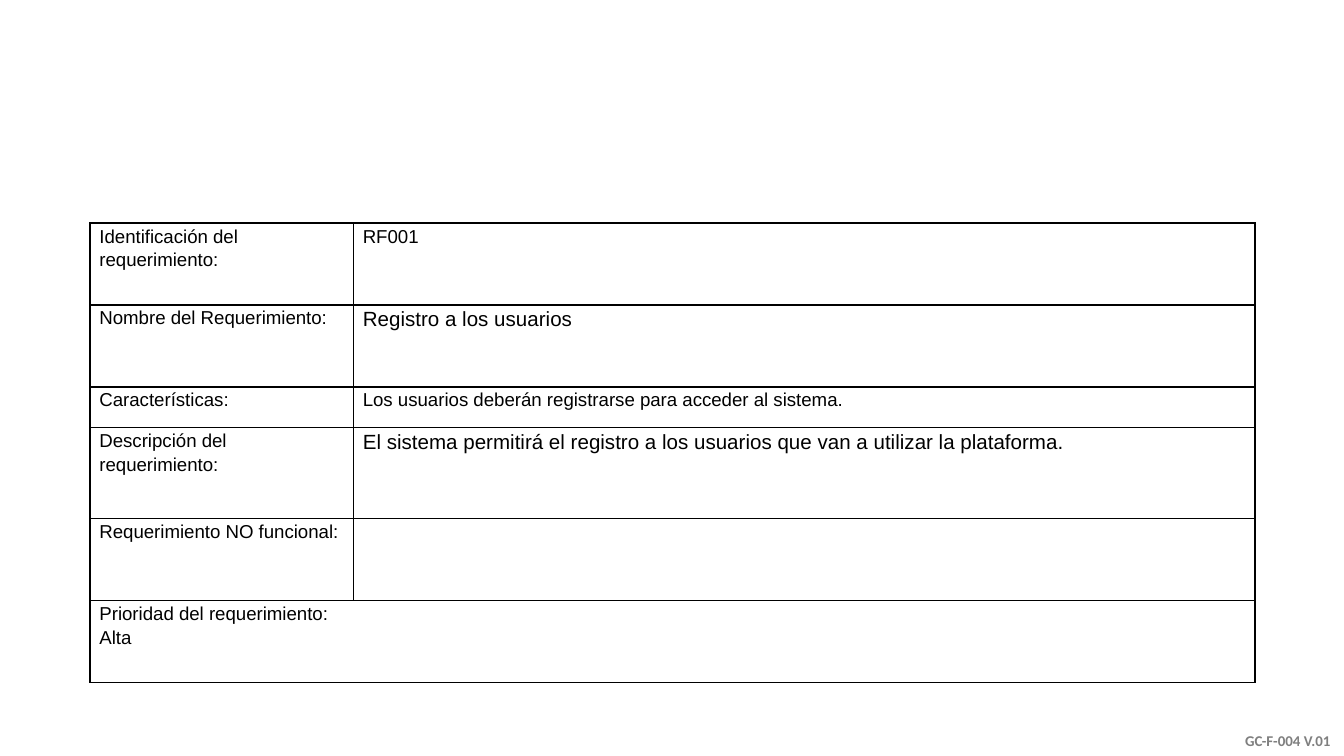
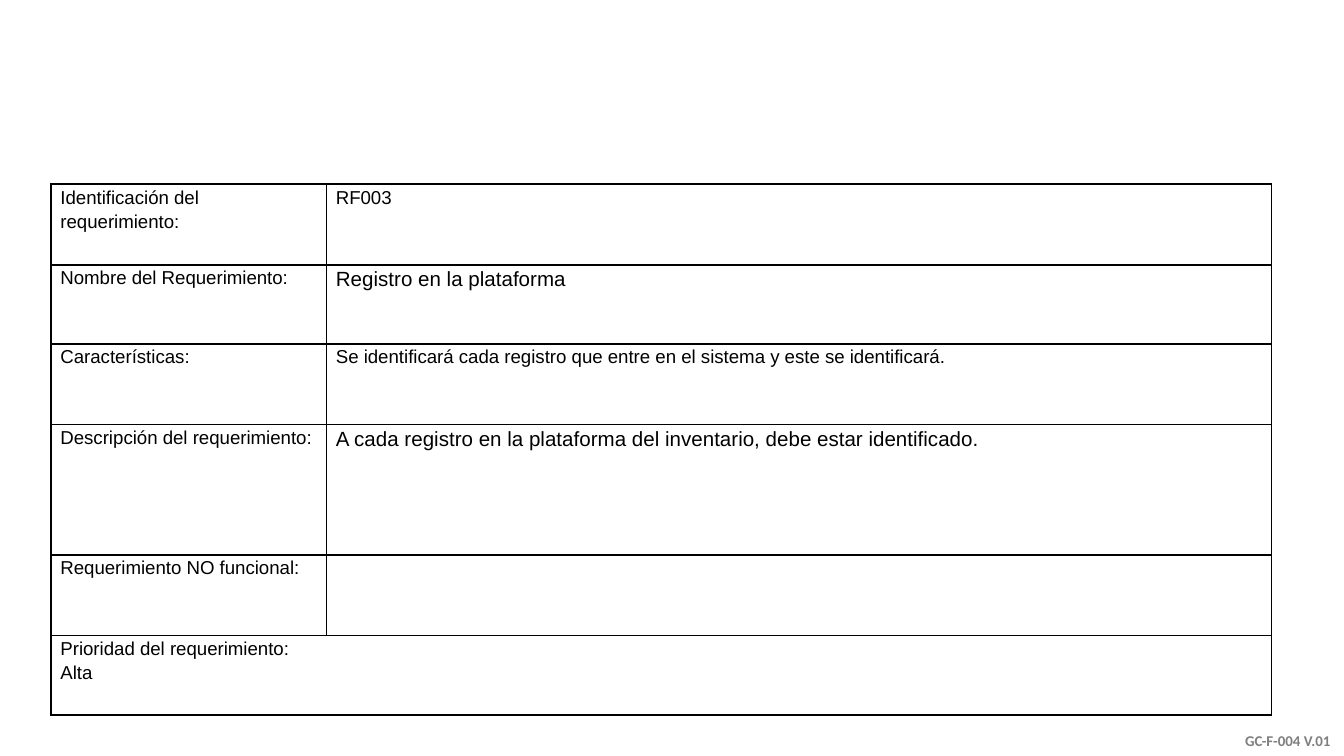
from lxml import etree
from pptx import Presentation
from pptx import util as u
from pptx.dml.color import RGBColor
from pptx.enum import text
from pptx.oxml import ns

BLACK, GRAY = "000000", "7F7F7F"
WIDTH = 10
HEIGHT = WIDTH * 9 / 16
FOOTER_WIDTH, FOOTER_HEIGHT = 1.63, 0.43
LABELS = [
    "Identificación del requerimiento:",
    "Nombre del Requerimiento:",
    "Características:",
    "Descripción del requerimiento:",
    "Requerimiento NO funcional:",
    "Prioridad del requerimiento:",
]
VALUE_SIZES = [10, 11, 10, 11, 10]
PRIORITY = "Alta"

# One entry per slide: table position, column widths, row heights, values
requirements = [
    dict(left=0.67, top=1.66, columns=[1.96, 6.71],
         rows=[0.61, 0.61, 0.3, 0.68, 0.61, 0.61],
         values=["RF001", "Registro a los usuarios",
                 "Los usuarios deberán registrarse para acceder al sistema.",
                 "El sistema permitirá el registro a los usuarios que van a utilizar la plataforma.",
                 ""]),
    dict(left=0.38, top=1.37, columns=[2.05, 7.03],
         rows=[0.6, 0.59, 0.6, 0.97, 0.6, 0.59],
         values=["RF003", "Registro en la plataforma",
                 "Se identificará cada registro que entre en el sistema y este se identificará.",
                 "A cada registro en la plataforma del inventario, debe estar identificado.",
                 ""]),
]


def add_run(paragraph, words, size, font="Arial", color=BLACK, bold=False):
    run = paragraph.add_run()
    run.text = words
    run.font.size = u.Pt(size)
    run.font.name = font
    run.font.bold = bold
    run.font.color.rgb = RGBColor.from_string(color)


def format_cell(cell):
    cell.fill.background()
    cell.margin_left = cell.margin_right = u.Inches(0.07)
    cell.margin_top = cell.margin_bottom = 0
    for paragraph in cell.text_frame.paragraphs:
        paragraph.line_spacing = 1.15
    # Borders come before the fill in the cell properties
    properties = cell._tc.get_or_add_tcPr()
    for position, side in enumerate(["a:lnL", "a:lnR", "a:lnT", "a:lnB"]):
        line = etree.Element(ns.qn(side), w=str(u.Pt(1)))
        fill = etree.SubElement(line, ns.qn("a:solidFill"))
        etree.SubElement(fill, ns.qn("a:srgbClr"), val=BLACK)
        properties.insert(position, line)


presentation = Presentation()
presentation.slide_width = u.Inches(WIDTH)
presentation.slide_height = u.Inches(HEIGHT)

for requirement in requirements:
    slide = presentation.slides.add_slide(presentation.slide_layouts[6])

    # Form code in the bottom right corner
    footer = slide.shapes.add_textbox(
        u.Inches(WIDTH - FOOTER_WIDTH), u.Inches(HEIGHT - FOOTER_HEIGHT),
        u.Inches(FOOTER_WIDTH), u.Inches(FOOTER_HEIGHT))
    footer.text_frame.word_wrap = True
    footer.text_frame.vertical_anchor = text.MSO_ANCHOR.BOTTOM
    paragraph = footer.text_frame.paragraphs[0]
    paragraph.alignment = text.PP_ALIGN.RIGHT
    add_run(paragraph, "GC-F-004 V.01", 8, "Calibri", GRAY, True)

    # Requirement table
    columns, rows = requirement["columns"], requirement["rows"]
    table = slide.shapes.add_table(
        len(rows), len(columns),
        u.Inches(requirement["left"]), u.Inches(requirement["top"]),
        u.Inches(sum(columns)), u.Inches(sum(rows))).table
    table.first_row = table.horz_banding = False
    for column, width in zip(table.columns, columns):
        column.width = u.Inches(width)
    for row, height in zip(table.rows, rows):
        row.height = u.Inches(height)

    # Labels on the left, values on the right
    for index, label in enumerate(LABELS):
        add_run(table.cell(index, 0).text_frame.paragraphs[0], label, 10)
    for index, (value, size) in enumerate(zip(requirement["values"], VALUE_SIZES)):
        if value:
            add_run(table.cell(index, 1).text_frame.paragraphs[0], value, size)

    # The priority spans the last row
    priority = table.cell(len(rows) - 1, 0)
    priority.merge(table.cell(len(rows) - 1, 1))
    add_run(priority.text_frame.add_paragraph(), PRIORITY, 10)

    for cell in table.iter_cells():
        format_cell(cell)

presentation.save("out.pptx")
